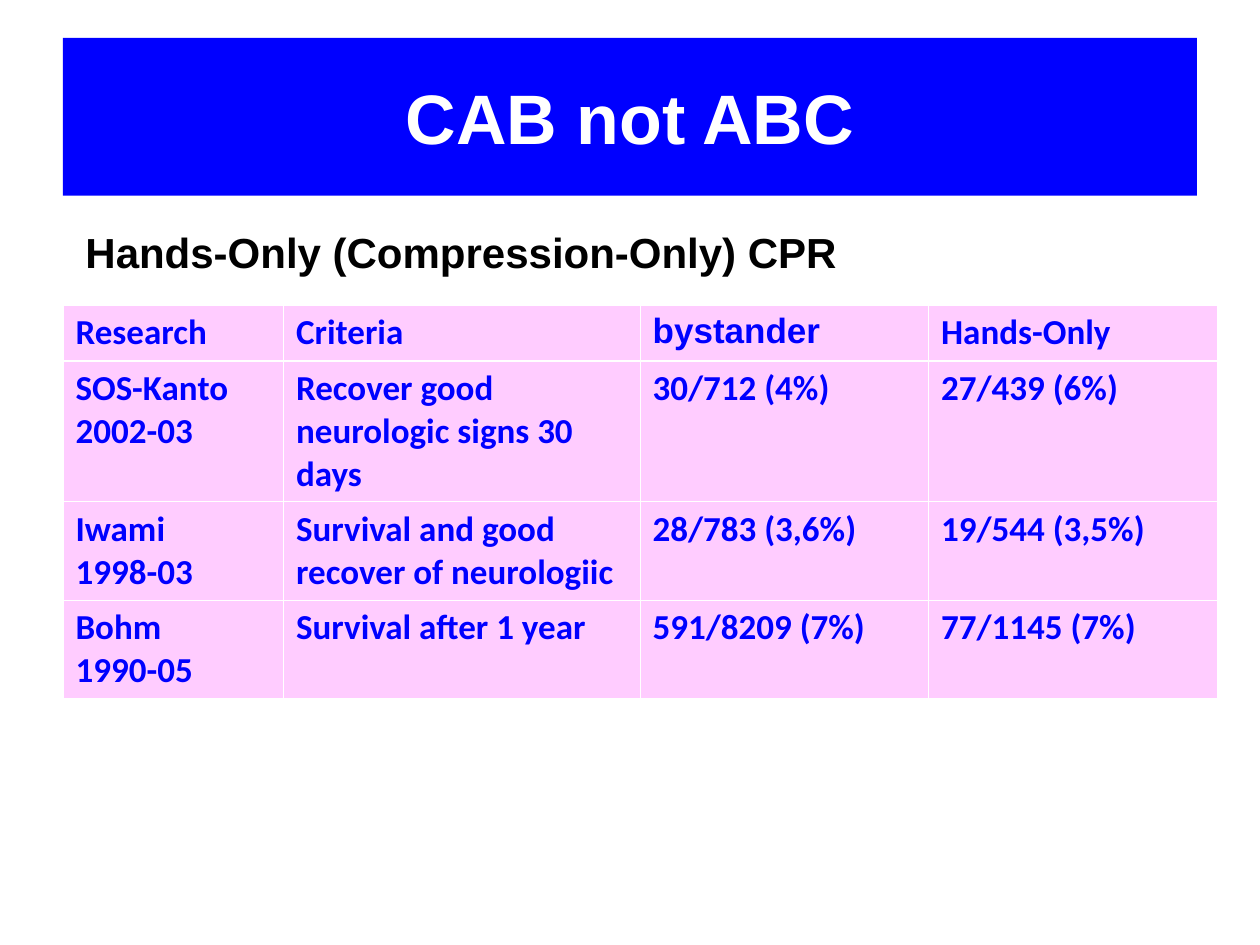
from dataclasses import dataclass

from lxml.etree import SubElement
from pptx import Presentation
from pptx.dml.color import RGBColor
from pptx.enum.shapes import MSO_SHAPE
from pptx.enum.text import MSO_ANCHOR, PP_ALIGN
from pptx.oxml.ns import qn
from pptx.util import Inches, Pt

WIDE, HIGH = Inches(10), Inches(7.5)
BLUE, PINK, WHITE, BLACK = "0000FF", "FFCCFF", "FFFFFF", "000000"
COLS = (0.175, 0.283, 0.229, 0.229)  # shares of the slide's width
ROWS = (0.059, 0.149, 0.104, 0.104)  # shares of the slide's height
THIN, THICK = 0.45, 1.47


@dataclass
class Box:
    """A frame in shares of the slide's size."""
    left: float
    top: float
    width: float
    height: float

    def place(self) -> tuple[int, ...]:
        return (int(WIDE * self.left), int(HIGH * self.top),
                int(WIDE * self.width), int(HIGH * self.height))


@dataclass
class Study:
    name: str
    aim: str
    full: str
    hands: str

    def texts(self) -> tuple[str, ...]:
        return self.name, self.aim, self.full, self.hands


STUDIES = (
    Study("Research", "Criteria", "bystander", "Hands-Only"),
    Study("SOS-Kanto\n2002-03", "Recover good neurologic signs 30 days",
          "30/712 (4%)", "27/439 (6%)"),
    Study("Iwami\n1998-03", "Survival and good recover of neurologiic",
          "28/783 (3,6%)", "19/544 (3,5%)"),
    Study("Bohm\n1990-05", "Survival after 1 year",
          "591/8209 (7%)", "77/1145 (7%)"),
)


def color(code: str) -> RGBColor:
    return RGBColor.from_string(code)


def write(frame, text: str, size: int, code: str, face: str = "Arial") -> None:
    look = {"size": Pt(size), "bold": True, "name": face}
    frame.text = text
    for line in frame.paragraphs:
        for run in line.runs:
            for key, value in look.items():
                setattr(run.font, key, value)
            run.font.color.rgb = color(code)


def banner(slide, box: Box, text: str) -> None:
    shape = slide.shapes.add_shape(MSO_SHAPE.RECTANGLE, *box.place())
    shape.shadow.inherit = False
    shape.fill.solid()
    shape.fill.fore_color.rgb = color(BLUE)
    shape.line.fill.background()
    frame = shape.text_frame
    frame.vertical_anchor = MSO_ANCHOR.MIDDLE
    write(frame, text, 40, WHITE)
    frame.paragraphs[0].alignment = PP_ALIGN.CENTER


def bullet(slide, box: Box, text: str) -> None:
    frame = slide.shapes.add_textbox(*box.place()).text_frame
    frame.word_wrap = True
    line = frame.paragraphs[0]
    props = line._p.get_or_add_pPr()
    hang = Inches(0.38)
    props.set("marL", str(hang))
    props.set("indent", str(-hang))
    tint = SubElement(props, qn("a:buClr"))
    SubElement(tint, qn("a:srgbClr"), val=BLACK)
    SubElement(props, qn("a:buFont"), typeface="Arial")
    SubElement(props, qn("a:buChar"), char="-")
    write(frame, text, 24, BLACK)
    line.alignment = PP_ALIGN.JUSTIFY


def edge(cell, side: str, width: float) -> None:
    props = cell._tc.get_or_add_tcPr()
    rule = SubElement(props, qn(f"a:ln{side}"), w=str(Pt(width)))
    fill = SubElement(rule, qn("a:solidFill"))
    SubElement(fill, qn("a:srgbClr"), val=WHITE)


def grid(slide, box: Box) -> None:
    table = slide.shapes.add_table(len(ROWS), len(COLS), *box.place()).table
    for col, share in zip(table.columns, COLS):
        col.width = int(WIDE * share)
    for row, share in zip(table.rows, ROWS):
        row.height = int(HIGH * share)
    for r, study in enumerate(STUDIES):
        sides = {"L": THIN, "R": THIN, "T": THICK if r == 1 else THIN,
                 "B": THICK if r == 0 else THIN}
        for c, text in enumerate(study.texts()):
            cell = table.cell(r, c)
            for side, width in sides.items():
                edge(cell, side, width)
            cell.fill.solid()
            cell.fill.fore_color.rgb = color(PINK)
            face = "Arial" if (r, c) == (0, 2) else "Calibri"
            write(cell.text_frame, text, 20, BLUE, face)


def main() -> None:
    deck = Presentation()
    deck.slide_width, deck.slide_height = WIDE, HIGH
    slide = deck.slides.add_slide(deck.slide_layouts[6])
    banner(slide, Box(0.05, 0.04, 0.9, 0.167), "CAB not ABC")
    bullet(slide, Box(0.058, 0.233, 0.9, 0.089),
           "Hands-Only (Compression-Only) CPR")
    grid(slide, Box(0.05, 0.323, sum(COLS), sum(ROWS)))
    deck.save("out.pptx")


if __name__ == "__main__":
    main()
